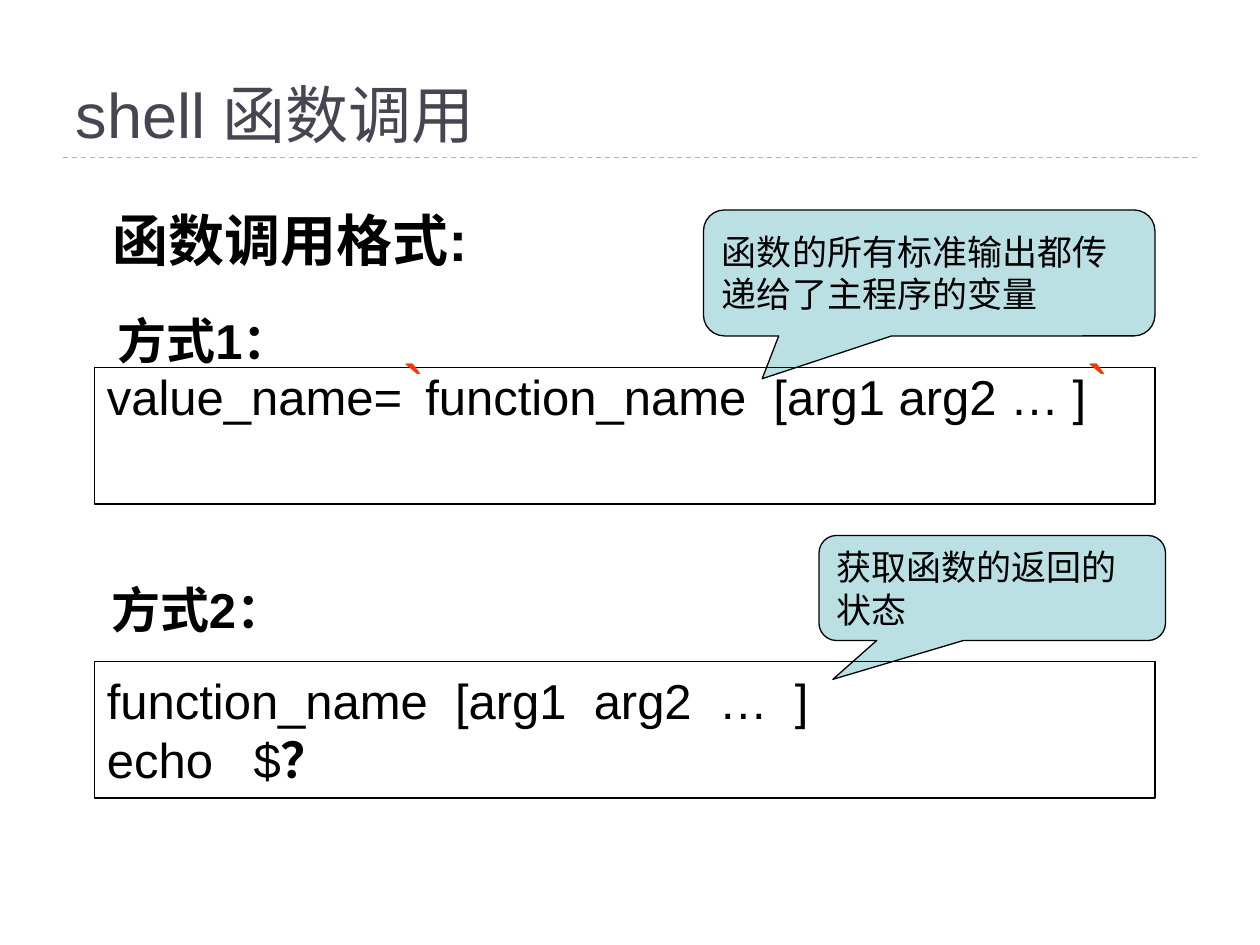
import dataclasses

import pptx
import pptx.dml.color
import pptx.enum.dml
import pptx.enum.shapes
import pptx.enum.text
import pptx.oxml.ns
import pptx.util
from lxml import etree

Anchor = pptx.enum.text.MSO_ANCHOR
AutoSize = pptx.enum.text.MSO_AUTO_SIZE
ShapeType = pptx.enum.shapes.MSO_SHAPE
COLUMNS, ROWS = 120, 90


@dataclasses.dataclass(frozen=True)
class Theme:
    ink: str = "000000"
    title: str = "464653"
    rule: str = "9FB8CD"
    callout: str = "BBE0E3"
    accent: str = "FF3300"
    sans: str = "Arial"
    serif: str = "Times New Roman"
    title_size: int = 36
    heading_size: int = 32
    body_size: int = 28
    note_size: int = 20
    quote_size: int = 40
    line_width: float = 0.75


def rgb(value):
    return pptx.dml.color.RGBColor.from_string(value)


def add_run(paragraph, text, *, size, color, font, bold=False):
    run = paragraph.add_run()
    run.text = text
    run.font.size = pptx.util.Pt(size)
    run.font.color.rgb = rgb(color)
    run.font.name = font
    run.font.bold = bold


class SlideBuilder:
    def __init__(self, presentation, theme):
        self.theme = theme
        self.column = presentation.slide_width / COLUMNS
        self.row = presentation.slide_height / ROWS
        self.slide = presentation.slides.add_slide(presentation.slide_layouts[5])

    def place(self, left, top, width, height):
        return (round(left * self.column), round(top * self.row),
                round(width * self.column), round(height * self.row))

    def set_text(self, shape, lines, *, anchor, wrap, size, color=None, font=None,
                 bold=False, auto_size=AutoSize.NONE):
        frame = shape.text_frame
        frame.word_wrap = wrap
        frame.auto_size = auto_size
        frame.vertical_anchor = anchor
        base = dict(size=size, color=color or self.theme.ink,
                    font=font or self.theme.sans, bold=bold)
        for index, runs in enumerate(lines):
            paragraph = frame.add_paragraph() if index else frame.paragraphs[0]
            paragraph.alignment = pptx.enum.text.PP_ALIGN.LEFT
            for text, changes in runs:
                add_run(paragraph, text, **{**base, **changes})
        return frame

    def title(self, text, *area):
        shape = self.slide.shapes.title
        shape.left, shape.top, shape.width, shape.height = self.place(*area)
        self.set_text(shape, [[(text, {})]], anchor=Anchor.BOTTOM, wrap=True,
                      size=self.theme.title_size, color=self.theme.title)

    def rule(self, left, top, width):
        x, y, length, _ = self.place(left, top, width, 0)
        line = self.slide.shapes.add_connector(
            pptx.enum.shapes.MSO_CONNECTOR.STRAIGHT, x, y, x + length, y)
        line.line.color.rgb = rgb(self.theme.rule)
        line.line.width = pptx.util.Pt(self.theme.line_width)
        line.line.dash_style = pptx.enum.dml.MSO_LINE.DASH
        etree.SubElement(line._element.spPr, pptx.oxml.ns.qn("a:effectLst"))

    def outlined(self, kind, *area):
        shape = self.slide.shapes.add_shape(kind, *self.place(*area))
        shape.shadow.inherit = False
        shape.line.color.rgb = rgb(self.theme.ink)
        shape.line.width = pptx.util.Pt(self.theme.line_width)
        return shape

    def callout(self, text, pointer, *area):
        shape = self.outlined(ShapeType.ROUNDED_RECTANGULAR_CALLOUT, *area)
        shape.fill.solid()
        shape.fill.fore_color.rgb = rgb(self.theme.callout)
        shape.adjustments[0], shape.adjustments[1] = pointer
        self.set_text(shape, [[(text, {})]], anchor=Anchor.MIDDLE, wrap=True,
                      size=self.theme.note_size, font=self.theme.serif)

    def code_box(self, lines, *area):
        shape = self.outlined(ShapeType.RECTANGLE, *area)
        shape.fill.background()
        return self.set_text(shape, lines, anchor=Anchor.MIDDLE, wrap=False,
                             size=self.theme.body_size)

    def heading(self, text, size, *area):
        shape = self.slide.shapes.add_textbox(*self.place(*area))
        self.set_text(shape, [[(text, {})]], anchor=Anchor.TOP, wrap=False, size=size,
                      bold=True, auto_size=AutoSize.SHAPE_TO_FIT_TEXT)


def main():
    presentation = pptx.Presentation()
    presentation.slide_width = pptx.util.Inches(10)
    presentation.slide_height = pptx.util.Inches(7.5)
    theme = Theme()
    builder = SlideBuilder(presentation, theme)

    builder.title("shell 函数调用", 6, 2, 108, 13)
    builder.rule(6, 15, 108)
    builder.callout("函数的所有标准输出都传递给了主程序的变量", (-0.37, 0.84), 67, 20, 43, 12)
    builder.callout("获取函数的返回的状态", (-0.46, 0.87), 78, 51, 33, 10)

    backquote = ("`", dict(size=theme.quote_size, color=theme.accent))
    substitution = builder.code_box(
        [[("value_name=", {}), backquote,
          ("function_name  [arg1 arg2 … ]", {}), backquote]], 9, 35, 101, 13)
    substitution.margin_bottom = pptx.util.Inches(0.69)
    substitution.paragraphs[0].line_spacing = 0.8
    builder.code_box(
        [[("function_name  [arg1  arg2  …  ]", {})],
         [("echo   $", {}), ("？", dict(bold=True))]], 9, 63, 101, 13)

    builder.heading("函数调用格式:", theme.heading_size, 9.5, 19, 37.5, 7.7)
    builder.heading("方式1：", theme.body_size, 10, 29, 21.2, 6.8)
    builder.heading("方式2：", theme.body_size, 9.4, 54.6, 21.2, 6.8)
    presentation.save("out.pptx")


if __name__ == "__main__":
    main()
